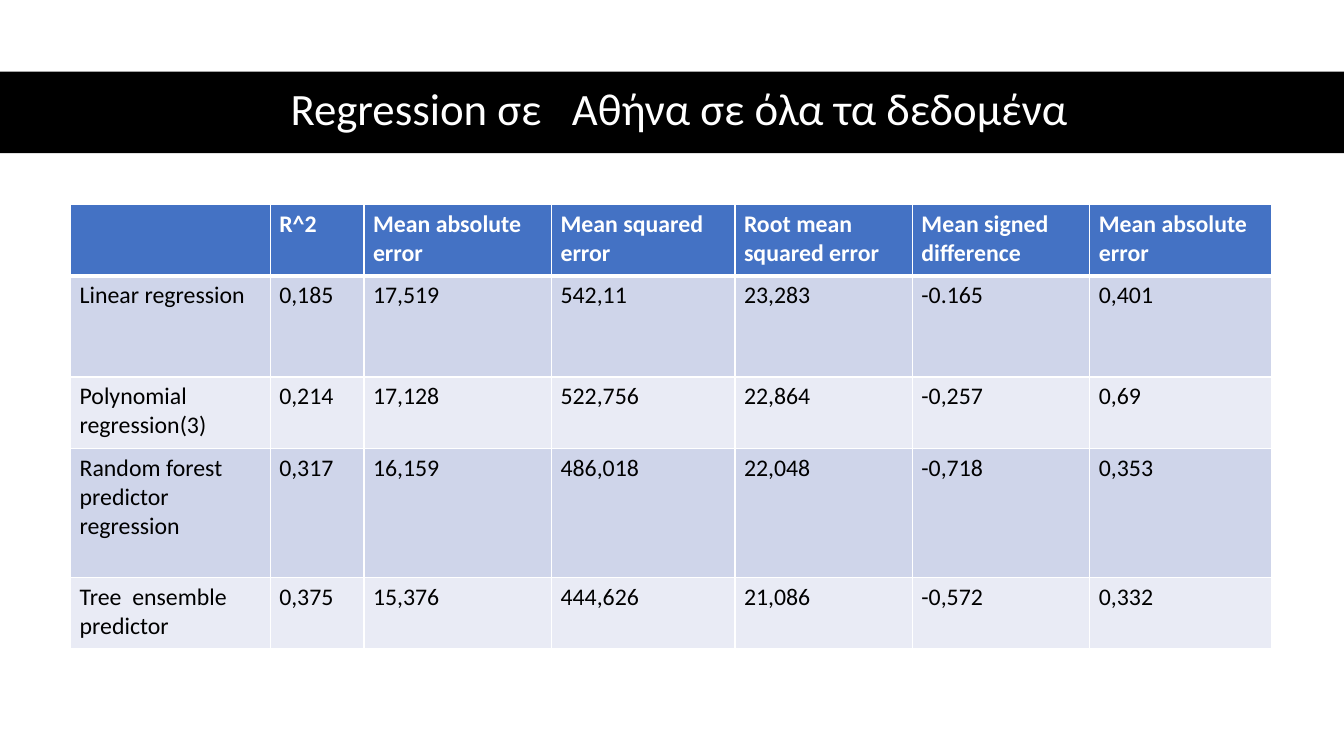
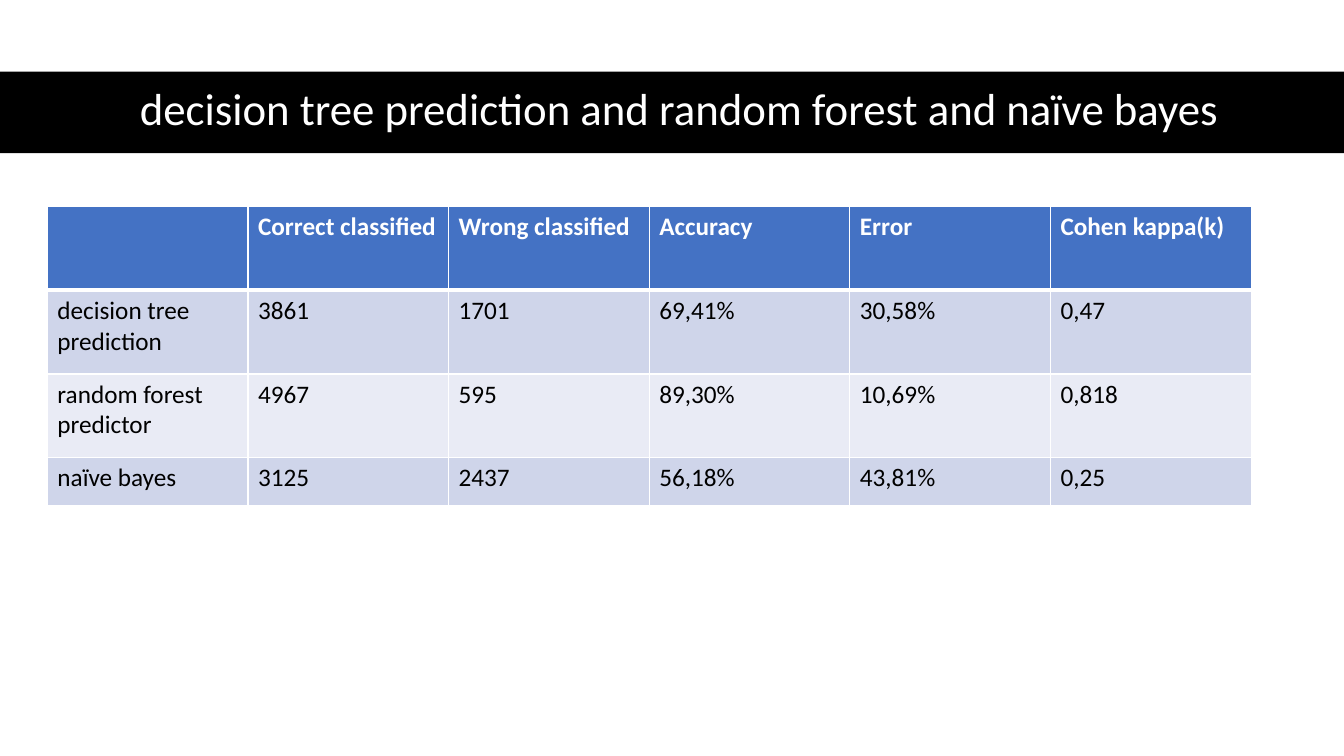
from lxml.etree import SubElement
from pptx import Presentation
from pptx.dml.color import RGBColor
from pptx.enum.shapes import MSO_SHAPE
from pptx.enum.text import MSO_ANCHOR, PP_ALIGN
from pptx.oxml.ns import qn
from pptx.util import Inches, Pt

BLACK = RGBColor(0x00, 0x00, 0x00)
WHITE = RGBColor(0xFF, 0xFF, 0xFF)
HEADER_BLUE = RGBColor(0x44, 0x72, 0xC4)
BAND_DARK = RGBColor(0xCF, 0xD5, 0xEA)
BAND_LIGHT = RGBColor(0xE9, 0xEB, 0xF5)
FONT = "Calibri"
SLIDE_WIDTH = 13.33
SLIDE_HEIGHT = 7.5
BAND_BOX = (0, 0.71, SLIDE_WIDTH, 0.81)
TITLE_BOX = (0.61, 0.7, 12.26, 0.81)

REGRESSION_ROWS = [
    ["", "R^2", "Mean absolute error", "Mean squared error",
     "Root mean squared error", "Mean signed\ndifference", "Mean absolute error"],
    ["Linear regression", "0,185", "17,519", "542,11", "23,283", "-0.165", "0,401"],
    ["Polynomial regression(3)", "0,214", "17,128", "522,756", "22,864", "-0,257", "0,69"],
    ["Random forest predictor regression", "0,317", "16,159", "486,018", "22,048",
     "-0,718", "0,353"],
    ["Tree  ensemble predictor", "0,375", "15,376", "444,626", "21,086", "-0,572", "0,332"],
]
CLASSIFIER_ROWS = [
    ["", "Correct classified", "Wrong classified", "Accuracy", "Error", "Cohen kappa(k)"],
    ["decision tree prediction", "3861", "1701", "69,41%", "30,58%", "0,47"],
    ["random forest  predictor", "4967", "595", "89,30%", "10,69%", "0,818"],
    ["naïve bayes", "3125", "2437", "56,18%", "43,81%", "0,25"],
]


def format_text(para, size, color, bold=False):
    for span in para.runs:
        span.font.name = FONT
        span.font.size = Pt(size)
        span.font.bold = bold
        span.font.color.rgb = color


def add_title(page, title):
    band = page.shapes.add_shape(MSO_SHAPE.RECTANGLE, *map(Inches, BAND_BOX))
    band.shadow.inherit = False
    band.fill.solid()
    band.fill.fore_color.rgb = BLACK
    band.line.fill.background()
    box = page.shapes.add_textbox(*map(Inches, TITLE_BOX))
    frame = box.text_frame
    frame.word_wrap = True
    frame.vertical_anchor = MSO_ANCHOR.MIDDLE
    frame.text = title
    para = frame.paragraphs[0]
    para.alignment = PP_ALIGN.CENTER
    para.line_spacing = 0.9
    format_text(para, 32, WHITE)


def add_borders(cell, top, bottom):
    properties = cell._tc.get_or_add_tcPr()
    for side, width in (("L", 1), ("R", 1), ("T", top), ("B", bottom)):
        line = SubElement(properties, qn(f"a:ln{side}"), w=str(Pt(width)))
        fill = SubElement(line, qn("a:solidFill"))
        SubElement(fill, qn("a:srgbClr"), val=str(WHITE))


def format_cell(cell, row_index, size):
    is_header = row_index == 0
    add_borders(cell, 3 if row_index == 1 else 1, 3 if is_header else 1)
    cell.fill.solid()
    band_color = BAND_DARK if row_index % 2 else BAND_LIGHT
    cell.fill.fore_color.rgb = HEADER_BLUE if is_header else band_color
    for para in cell.text_frame.paragraphs:
        format_text(para, size, WHITE if is_header else BLACK, is_header)


def add_results_table(page, left, top, widths, heights, rows, size, insets):
    frame = page.shapes.add_table(
        len(rows), len(widths), Inches(left), Inches(top),
        Inches(sum(widths)), Inches(sum(heights)))
    table = frame.table
    for column, width in zip(table.columns, widths):
        column.width = Inches(width)
    for row_index, (row, height, texts) in enumerate(zip(table.rows, heights, rows)):
        row.height = Inches(height)
        for cell, text in zip(row.cells, texts):
            cell.margin_left = cell.margin_right = Inches(insets[0])
            cell.margin_top = cell.margin_bottom = Inches(insets[1])
            cell.text_frame.text = text
            format_cell(cell, row_index, size)


def add_results_page(deck, title, **table_options):
    page = deck.slides.add_slide(deck.slide_layouts[6])
    add_title(page, title)
    add_results_table(page, **table_options)


def main():
    deck = Presentation()
    deck.slide_width = Inches(SLIDE_WIDTH)
    deck.slide_height = Inches(SLIDE_HEIGHT)
    add_results_page(
        deck, "Regression σε   Αθήνα σε όλα τα δεδομένα",
        left=0.7, top=2.03, widths=[1.98, 0.93, 1.86, 1.82, 1.76, 1.76, 1.8],
        heights=[0.71, 1, 0.71, 1.28, 0.71], rows=REGRESSION_ROWS,
        size=17, insets=(0.09, 0.05))
    add_results_page(
        deck, "decision tree prediction and random forest and naïve bayes",
        left=0.47, top=2.05, widths=[1.99] * 6,
        heights=[0.83] * 3 + [0.48], rows=CLASSIFIER_ROWS,
        size=18, insets=(0.1, 0.05))
    deck.save("out.pptx")


if __name__ == "__main__":
    main()
